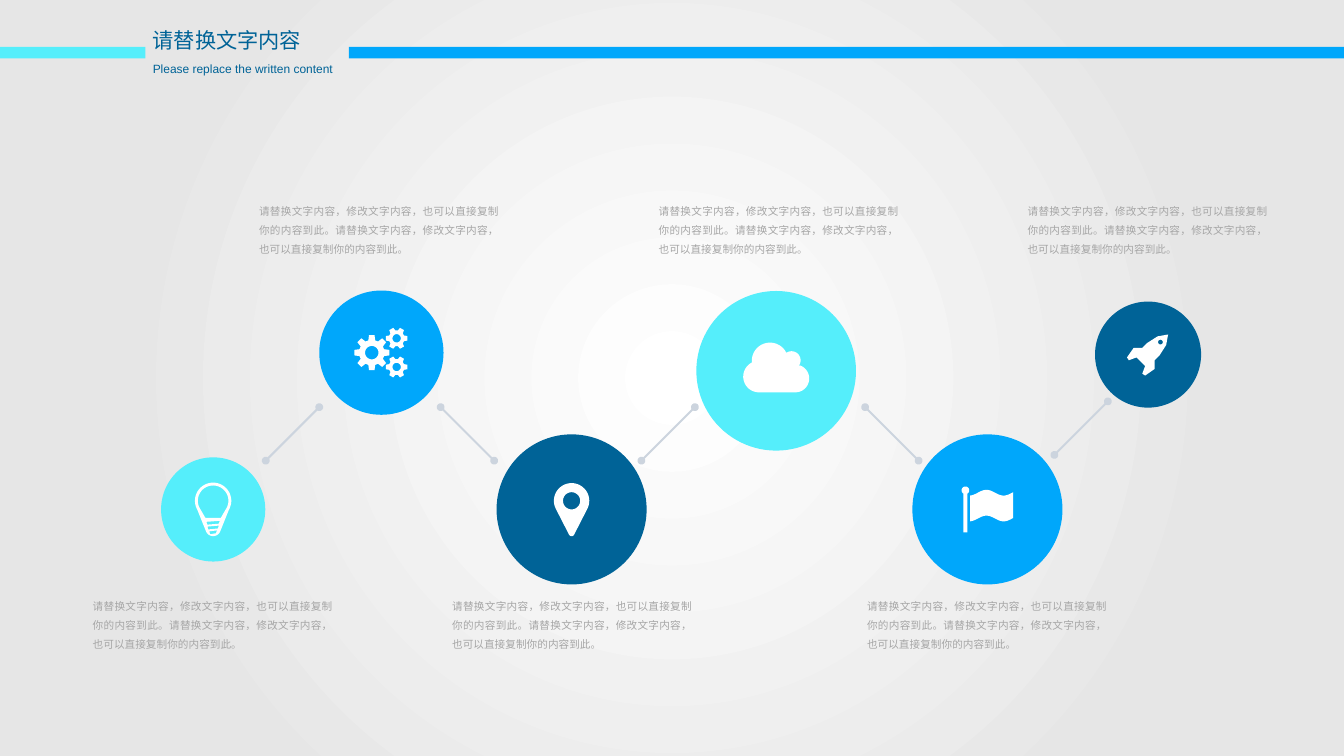
import math
import pptx
import pptx.dml.color
import pptx.enum.shapes
import pptx.enum.text
import pptx.oxml
import pptx.oxml.ns
import pptx.util

W, H = 14.06, 7.91
CYAN, BLUE, NAVY = "55EEFB", "00A7FB", "006397"
WHITE, GREY, LINK = "FFFFFF", "A6A6A6", "CCD4DE"
TITLE, SUBTITLE = "请替换文字内容", "Please replace the written content"
CAPTION = "请替换文字内容，修改文字内容，也可以直接复制你的内容到此。" * 2
TOP_ROW, BOTTOM_ROW = 2.08, 6.21

# Icon, colour, circle centre x and y, diameter, caption left and top
STEPS = [
    ("bulb", CYAN, 2.23, 5.33, 1.09, 0.97, BOTTOM_ROW),
    ("gears", BLUE, 3.99, 3.69, 1.3, 2.71, TOP_ROW),
    ("pin", NAVY, 5.98, 5.33, 1.57, 4.73, BOTTOM_ROW),
    ("cloud", CYAN, 8.12, 3.88, 1.67, 6.89, TOP_ROW),
    ("flag", BLUE, 10.33, 5.33, 1.57, 9.07, BOTTOM_ROW),
    ("rocket", NAVY, 12.01, 3.71, 1.11, 10.75, TOP_ROW),
]
# Link start x and y, and rise (-1) or fall (1)
LINKS = [(2.78, 4.82, -1), (4.61, 4.26, 1), (6.71, 4.82, -1),
         (9.05, 4.26, 1), (11.03, 4.76, -1)]
LINK_SPAN = 0.56
# Bars: left, width, colour
BARS = [(0, 1.52, CYAN), (3.65, W - 3.65, BLUE)]


# Icon outlines, in hundredths of an inch from the circle centre
def arc(cx, cy, radius, start=0, end=360, count=36):
    turns = [math.radians(start + (end - start) * i / count) for i in range(count + 1)]
    return [(cx + radius * math.cos(t), cy + radius * math.sin(t)) for t in turns]


def gear(cx, cy, tip, teeth):
    pitch = 2 * math.pi / teeth
    root, hole = 0.72 * tip, 0.38 * tip
    profile = [(-0.35, root), (-0.2, tip), (0.2, tip), (0.35, root)]
    outline = [(cx + radius * math.cos((i + share) * pitch),
                cy + radius * math.sin((i + share) * pitch))
               for i in range(teeth) for share, radius in profile]
    return [outline, arc(cx, cy, hole)]


def bulb():
    outline = arc(0, -9, 19, 150, 390) + arc(0, 20, 8, 20, 160)
    glass = arc(0, -9, 16, 145, 395) + [(8, 9), (-8, 9)]
    slits = [[(-w, y), (w, y - 1), (w - 1, y + 2), (1 - w, y + 3)]
             for w, y in ((7, 13), (6, 18), (4, 23))]
    return [outline, glass] + slits


def flag():
    pole = arc(-23, -20, 4, 120, 420) + [(-21, 24), (-25, 24)]
    top = [(x, -17.5 - 3 * math.cos(math.pi * (x + 1) / 18)) for x in range(-18, 28)]
    bottom = [(x, y + 27) for x, y in reversed(top)]
    return [pole, top + bottom]


def rocket():
    half = [(21, -21), (19, -10), (12, 1), (7, 6), (7, 15), (-3, 22), (-6, 20), (-3, 12)]
    return [half + [(-y, -x) for x, y in reversed(half)], arc(13, -13, 2.5)]


ICONS = {
    "bulb": bulb(),
    "gears": gear(-10, 0, 18.5, 8) + gear(16, -15, 11.5, 6) + gear(16, 15, 11.5, 6),
    "pin": [arc(0, -9, 18.5, 155, 385) + arc(0, 25, 3, 25, 155), arc(0, -9, 9)],
    "cloud": [arc(-18, 6, 16.5, 90, 245) + arc(-6.5, -10.5, 19, 175, 335)
              + arc(16, -11, 9.5, 230, 400) + arc(20, 8, 14.5, -70, 90)],
    "flag": flag(),
    "rocket": rocket(),
}

inch = pptx.util.Inches
MSO = pptx.enum.shapes.MSO_SHAPE
NS = pptx.oxml.ns.nsdecls("a")


def rgb(color):
    return pptx.dml.color.RGBColor.from_string(color)


def paint(sp, color):
    sp.shadow.inherit = False
    sp.fill.solid()
    sp.fill.fore_color.rgb = rgb(color)
    sp.line.fill.background()


def add_preset(slide, kind, x, y, w, h, color):
    sp = slide.shapes.add_shape(kind, inch(x), inch(y), inch(w), inch(h))
    paint(sp, color)
    return sp


def add_icon(slide, contours, cx, cy):
    builder = None
    for contour in contours:
        points = [(inch(cx + x / 100), inch(cy + y / 100)) for x, y in contour]
        if builder is None:
            builder = slide.shapes.build_freeform(*points[0])
        else:
            builder.move_to(*points[0])
        builder.add_line_segments(points[1:], close=True)
    paint(builder.convert_to_shape(), WHITE)


def add_link(slide, x, y, direction):
    cn = slide.shapes.add_connector(
        pptx.enum.shapes.MSO_CONNECTOR.STRAIGHT, inch(x), inch(y),
        inch(x + LINK_SPAN), inch(y + direction * LINK_SPAN))
    cn.line.color.rgb = rgb(LINK)
    cn.line.width = pptx.util.Pt(1.5)
    ln = cn.element.spPr.find(pptx.oxml.ns.qn("a:ln"))
    for end in ("headEnd", "tailEnd"):
        ln.append(pptx.oxml.parse_xml(f'<a:{end} {NS} type="oval"/>'))
    cn.element.spPr.append(pptx.oxml.parse_xml(f"<a:effectLst {NS}/>"))


def add_text(slide, text, x, y, w, h, size, color, wrap=False):
    tf = slide.shapes.add_textbox(inch(x), inch(y), inch(w), inch(h)).text_frame
    tf.word_wrap = wrap
    tf.auto_size = pptx.enum.text.MSO_AUTO_SIZE.SHAPE_TO_FIT_TEXT
    p = tf.paragraphs[0]
    p.text = text
    p.font.name, p.font.size = "Arial", pptx.util.Pt(size)
    p.font.color.rgb = rgb(color)
    if wrap:
        tf.margin_left = tf.margin_right = tf.margin_top = tf.margin_bottom = 0
        p.alignment = pptx.enum.text.PP_ALIGN.JUSTIFY
        p.line_spacing = 1.5


def add_backdrop(slide):
    sp = add_preset(slide, MSO.RECTANGLE, 0, 0, W, H, WHITE)
    sp.fill.gradient()
    for stop, position, color in zip(sp.fill.gradient_stops, (0, 0.73), (WHITE, "E6E6E6")):
        stop.position = position
        stop.color.rgb = rgb(color)
    lin = sp.element.spPr.find(".//" + pptx.oxml.ns.qn("a:lin"))
    lin.getparent().replace(lin, pptx.oxml.parse_xml(
        f'<a:path {NS} path="circle">'
        '<a:fillToRect l="50000" t="50000" r="50000" b="50000"/></a:path>'))


def main():
    prs = pptx.Presentation()
    prs.slide_width, prs.slide_height = inch(W), inch(H)
    slide = prs.slides.add_slide(prs.slide_layouts[6])
    add_backdrop(slide)

    # Steps with their icons and captions
    for icon, color, cx, cy, size, left, top in STEPS:
        add_preset(slide, MSO.OVAL, cx - size / 2, cy - size / 2, size, size, color)
        add_icon(slide, ICONS[icon], cx, cy)
        add_text(slide, CAPTION, left, top, 2.51, 0.58, 8, GREY, wrap=True)
    for link in LINKS:
        add_link(slide, *link)

    # Header
    for left, width, color in BARS:
        add_preset(slide, MSO.RECTANGLE, left, 0.49, width, 0.12, color)
    add_text(slide, SUBTITLE, 1.5, 0.59, 2.1, 0.25, 9, NAVY)
    add_text(slide, TITLE, 1.5, 0.24, 1.77, 0.37, 16, NAVY)
    prs.save("out.pptx")


if __name__ == "__main__":
    main()
